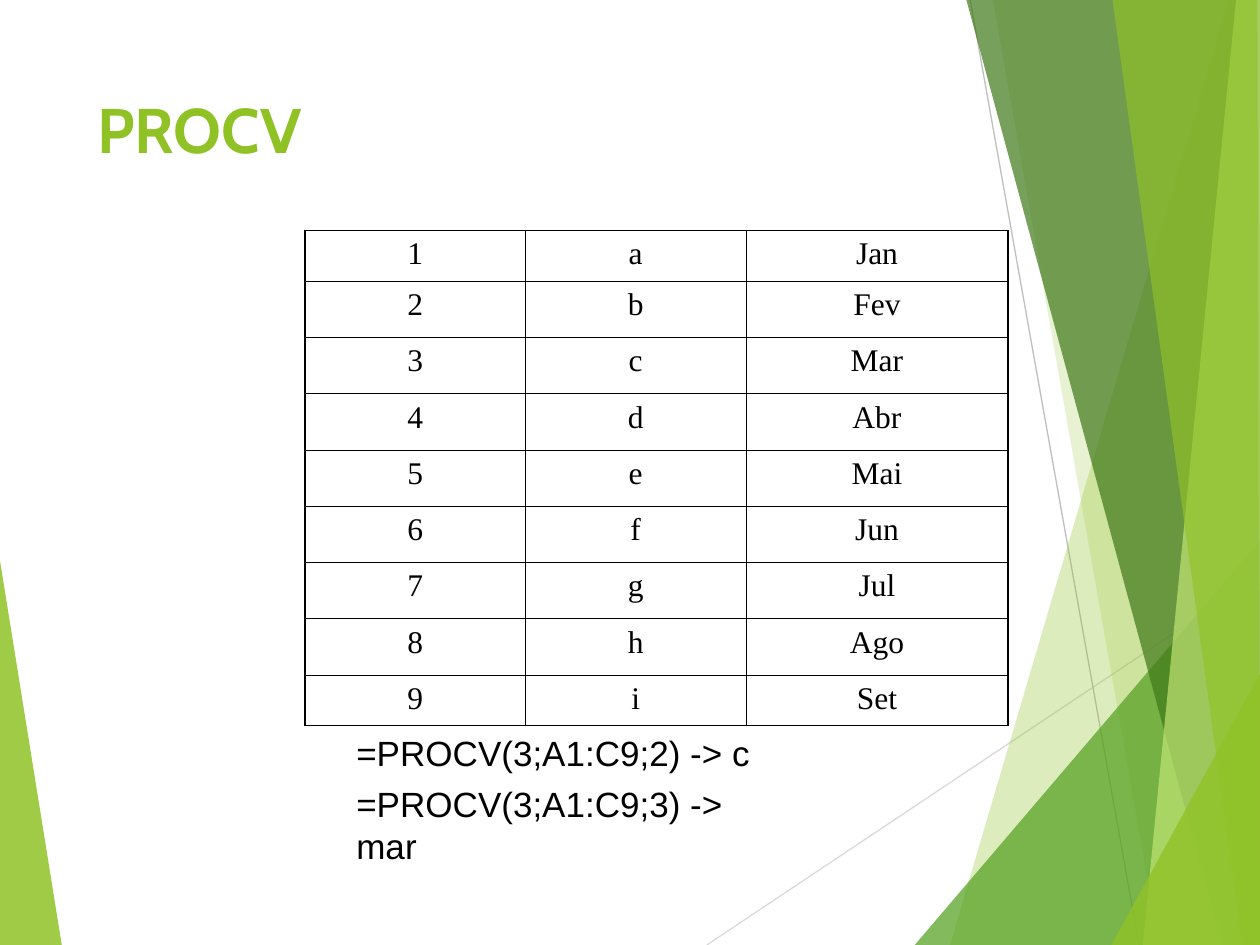
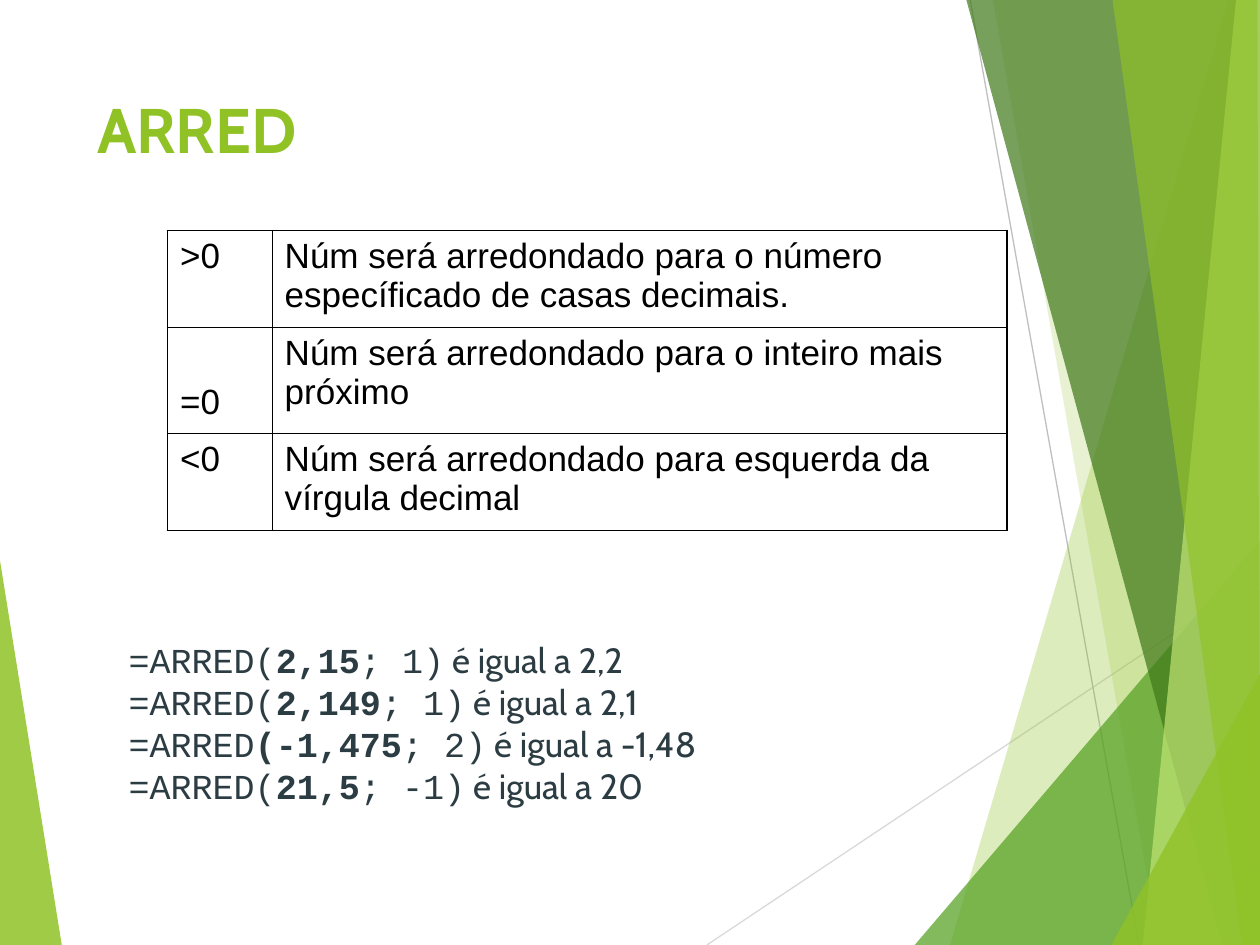
from lxml.etree import SubElement
from pptx import Presentation
from pptx.dml.color import RGBColor
from pptx.enum.shapes import MSO_CONNECTOR
from pptx.enum.text import MSO_ANCHOR, MSO_AUTO_SIZE, PP_ALIGN
from pptx.oxml.ns import qn
from pptx.util import Inches, Pt

COLORS = {
    "green": "90C226",
    "mid_green": "54A021",
    "dark_green": "3F7819",
    "pale_green": "C0E474",
    "light_gray": "D9D9D9",
    "gray": "BFBFBF",
    "black": "000000",
    "slate": "2C3C43",
}
TITLE_BOX = (0.67, 0.67, 6.94, 1.44)
OUTER_BORDER, INNER_BORDER = 1.08, 0.45

# Corner points in inches, colour, opacity in percent; back to front
LEFT_WEDGE = ([(0, 4.45), (0.49, 7.5), (0, 7.5)], "green", 85)
RIGHT_FACETS = [
    ([(9.75, 0), (7.54, 7.5), (10, 7.5), (10, 0)], "green", 30),
    ([(7.88, 0), (9.2, 7.5), (10, 7.5), (10, 0)], "green", 20),
    ([(7.26, 7.5), (10, 4.29), (10, 7.5)], "mid_green", 72),
    ([(7.67, 0), (9.7, 7.5), (10, 7.5), (10, 0)], "dark_green", 70),
    ([(9.81, 0), (9.07, 7.5), (10, 7.5), (10, 0)], "pale_green", 70),
    ([(8.83, 0), (9.86, 7.5), (10, 7.5), (9.98, 0)], "green", 65),
    ([(8.82, 7.5), (10, 5.35), (10, 7.5)], "green", 80),
]
RAYS = [
    ((5.61, 7.5), (10, 4.57), "light_gray"),
    ((7.7, 0), (9.04, 7.5), "gray"),
]

MONTHS = ["Jan", "Fev", "Mar", "Abr", "Mai", "Jun", "Jul", "Ago", "Set"]
LOOKUP_ROWS = [(str(number), letter, month) for number, (letter, month)
               in enumerate(zip("abcdefghi", MONTHS), start=1)]
LOOKUP_FORMULAS = ["=PROCV(3;A1:C9;2) -> c", "=PROCV(3;A1:C9;3) -> mar"]

ROUNDING_ROWS = [
    (">0", "Núm será arredondado para o número específicado de casas decimais."),
    ("=0", "Núm será arredondado para o inteiro mais próximo"),
    ("<0", "Núm será arredondado para esquerda da vírgula decimal"),
]
# Function, number in bold, digits, result
ROUNDING_EXAMPLES = [
    ("=ARRED(", "2,15", "; 1)", " é igual a 2,2"),
    ("=ARRED(", "2,149", "; 1)", " é igual a 2,1"),
    ("=ARRED", "(-1,475", "; 2)", " é igual a -1,48"),
    ("=ARRED(", "21,5", "; -1)", " é igual a 20"),
]


def color(name):
    return RGBColor.from_string(COLORS[name])


def set_font(font, name, size, color_name, bold=False):
    font.name = name
    font.size = Pt(size)
    font.bold = bold
    font.color.rgb = color(color_name)


def place(shape, box):
    shape.left, shape.top, shape.width, shape.height = map(Inches, box)


def add_facet(shapes, points, color_name, opacity):
    corners = [(Inches(x), Inches(y)) for x, y in points]
    builder = shapes.build_freeform(*corners[0], scale=1.0)
    builder.add_line_segments(corners[1:], close=True)
    facet = builder.convert_to_shape()
    facet.shadow.inherit = False
    facet.fill.solid()
    facet.fill.fore_color.rgb = color(color_name)
    facet.line.fill.background()
    fill_color = next(facet.element.iter(qn("a:srgbClr")))
    SubElement(fill_color, qn("a:alpha"), val=str(opacity * 1000))
    return facet


def add_ray(shapes, start, end, color_name):
    ray = shapes.add_connector(MSO_CONNECTOR.STRAIGHT,
                               *map(Inches, start + end))
    ray.line.color.rgb = color(color_name)
    ray.line.width = Pt(0.75)
    SubElement(ray.element.spPr, qn("a:effectLst"))
    return ray


def move_backdrop_to_master(presentation, slide):
    """Draw the backdrop on a slide, then hand it to the master for all slides."""
    backdrop = [add_facet(slide.shapes, *LEFT_WEDGE)]
    backdrop += [add_ray(slide.shapes, *ray) for ray in RAYS]
    backdrop += [add_facet(slide.shapes, *facet) for facet in RIGHT_FACETS]
    master_tree = presentation.slide_master.shapes.element
    for index, shape in enumerate(backdrop, start=2):
        master_tree.insert(index, shape.element)


def set_title(slide, text):
    title = slide.shapes.title
    place(title, TITLE_BOX)
    frame = title.text_frame
    frame.text = text
    frame.auto_size = MSO_AUTO_SIZE.NONE
    frame.vertical_anchor = MSO_ANCHOR.TOP
    paragraph = frame.paragraphs[0]
    paragraph.alignment = PP_ALIGN.LEFT
    set_font(paragraph.runs[0].font, "Cabin", 36, "green", bold=True)


def add_border(cell_properties, side, width):
    line = SubElement(cell_properties, qn(f"a:ln{side}"), w=str(Pt(width)))
    fill = SubElement(line, qn("a:solidFill"))
    SubElement(fill, qn("a:srgbClr"), val=COLORS["black"])


def add_grid(slide, left, top, widths, heights, rows, font_name, size, alignment):
    """Add an unfilled table with a heavier outer border."""
    frame = slide.shapes.add_table(
        len(rows), len(widths), Inches(left), Inches(top),
        Inches(sum(widths)), Inches(sum(heights)))
    table = frame.table
    table.first_row = table.horz_banding = False
    for column, width in zip(table.columns, widths):
        column.width = Inches(width)
    for row, height in zip(table.rows, heights):
        row.height = Inches(height)

    cell_elements = frame.element.iter(qn("a:tc"))
    for index, (cell, element) in enumerate(zip(table.iter_cells(), cell_elements)):
        row, column = divmod(index, len(widths))
        on_edge = {"L": column == 0, "R": column == len(widths) - 1,
                   "T": row == 0, "B": row == len(rows) - 1}
        for side, is_outer in on_edge.items():
            add_border(element.get_or_add_tcPr(), side,
                       OUTER_BORDER if is_outer else INNER_BORDER)
        cell.fill.background()
        cell.text_frame.text = rows[row][column]
        paragraph = cell.text_frame.paragraphs[0]
        paragraph.alignment = alignment
        set_font(paragraph.runs[0].font, font_name, size, "black")
    return table


def add_formulas(slide, box, formulas):
    text_box = slide.shapes.add_textbox(*map(Inches, box))
    frame = text_box.text_frame
    frame.word_wrap = False
    frame.text = "\n".join(formulas)
    for index, paragraph in enumerate(frame.paragraphs):
        paragraph.space_before = Pt(5 if index else 0)
        set_font(paragraph.runs[0].font, "Arial", 20, "black")


def fill_examples(body, box, examples):
    place(body, box)
    frame = body.text_frame
    frame.auto_size = MSO_AUTO_SIZE.NONE
    for index, parts in enumerate(examples):
        paragraph = frame.add_paragraph() if index else frame.paragraphs[0]
        paragraph.space_before = Pt(0)
        for position, text in enumerate(parts):
            run = paragraph.add_run()
            run.text = text
            set_font(run.font, "Cabin" if position == 3 else "Courier New",
                     20, "slate", bold=position == 1)
    for properties in body.element.iter(qn("a:pPr")):
        properties.set("marL", "0")
        properties.set("indent", "0")
        SubElement(properties, qn("a:buNone"))


def build_lookup_slide(slide):
    set_title(slide, "PROCV")
    heights = [0.4] + [0.447] * 7 + [0.4]
    add_grid(slide, 2.42, 1.83, [1.75, 1.75, 2.08], heights, LOOKUP_ROWS,
             "Times New Roman", 18, PP_ALIGN.CENTER)
    add_formulas(slide, (2.73, 5.76, 3.66, 1.17), LOOKUP_FORMULAS)


def build_rounding_slide(slide):
    set_title(slide, "ARRED")
    fill_examples(slide.placeholders[1], (0.92, 5.02, 8.5, 1.48),
                  ROUNDING_EXAMPLES)
    table = add_grid(slide, 1.33, 1.83, [0.83, 5.83], [0.77, 0.84, 0.77],
                     ROUNDING_ROWS, "Arial", 20, PP_ALIGN.LEFT)
    zero_cell = table.cell(1, 0)
    zero_cell.vertical_anchor = MSO_ANCHOR.BOTTOM
    zero_cell.margin_bottom = Inches(0.09)


def main():
    presentation = Presentation()
    presentation.slide_width, presentation.slide_height = Inches(10), Inches(7.5)
    title_only = presentation.slide_layouts.get_by_name("Title Only")
    title_and_content = presentation.slide_layouts.get_by_name("Title and Content")

    lookup_slide = presentation.slides.add_slide(title_only)
    move_backdrop_to_master(presentation, lookup_slide)
    build_lookup_slide(lookup_slide)
    build_rounding_slide(presentation.slides.add_slide(title_and_content))
    presentation.save("out.pptx")


if __name__ == "__main__":
    main()
